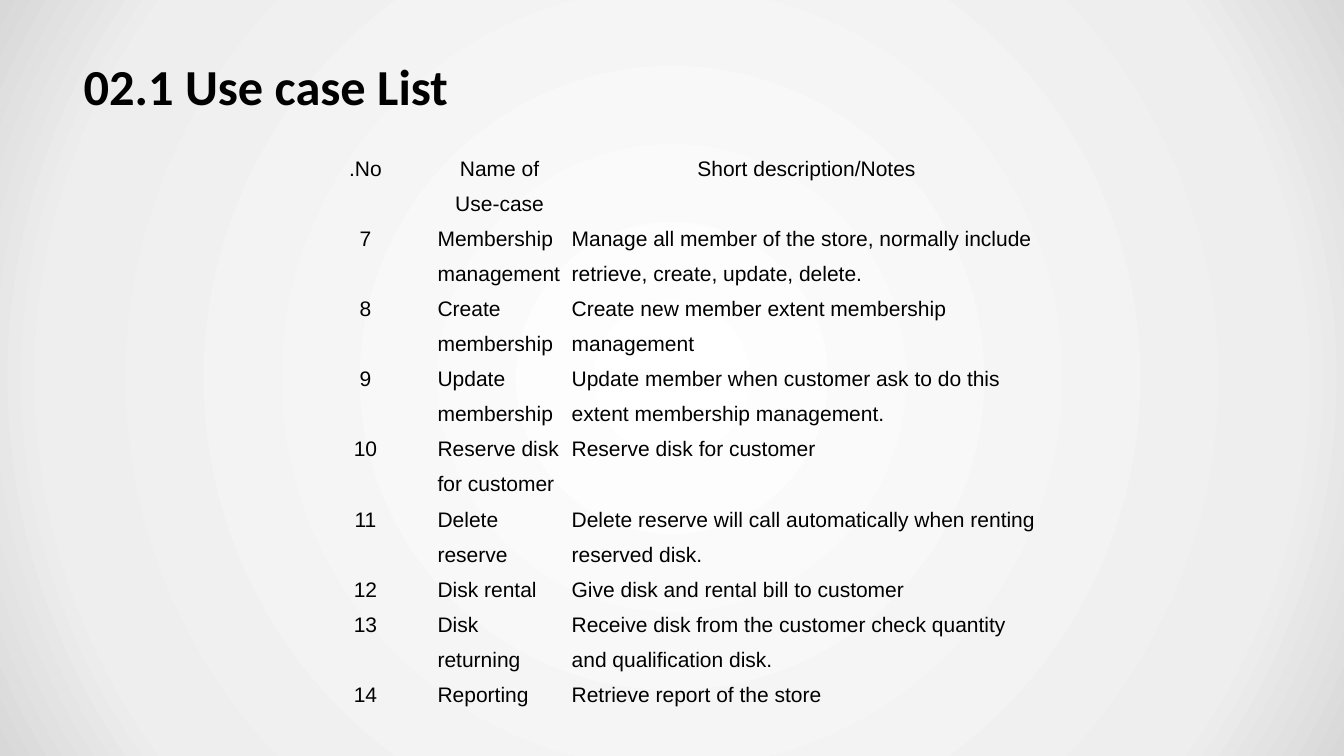
"""Build the use case list slide."""
from pptx import Presentation, util as u
from pptx.dml.color import RGBColor
from pptx.enum import text
from pptx.oxml import parse_xml
from pptx.oxml.ns import nsdecls

COLORS = {"ink": "000000", "center": "FFFFFF", "middle": "EEEEEE", "edge": "D8D8D8"}
GRADIENT_STOPS = [(0, "center"), (81, "middle"), (100, "edge")]
NO_GRID_STYLE = "{2D5ABB26-0587-4C30-8999-92F81FD0307C}"

TITLE_FONT = {"name": "Calibri", "size": u.Pt(36), "bold": True}
TABLE_FONT = {"name": "Arial", "size": u.Pt(15), "bold": False}
TITLE_FRAME = {
    "margin_left": 0, "margin_right": 0,
    "margin_top": u.Inches(0.07), "margin_bottom": u.Inches(0.07),
    "vertical_anchor": text.MSO_ANCHOR.MIDDLE,
    "auto_size": text.MSO_AUTO_SIZE.NONE, "word_wrap": True,
}
CELL_FRAME = {
    "margin_left": u.Inches(0.05), "margin_right": u.Inches(0.05),
    "margin_top": 0, "margin_bottom": 0,
    "vertical_anchor": text.MSO_ANCHOR.TOP,
}

COLUMN_WIDTHS = [1.33, 1.33, 4.76]
ROW_HEIGHTS = [0.42, 0.42, 0.32, 0.32, 0.32, 0.32, 0.15, 0.32, 0.15]
HEADER = (".No", "Name of Use-case", "Short description/Notes")
FIRST_NUMBER = 7
USE_CASES = [
    ("Membership management",
     "Manage all member of the store, normally include retrieve, create, update, delete."),
    ("Create membership", "Create new member extent membership management"),
    ("Update membership",
     "Update member when customer ask to do this extent membership management."),
    ("Reserve disk for customer", "Reserve disk for customer"),
    ("Delete reserve", "Delete reserve will call automatically when renting reserved disk."),
    ("Disk rental", "Give disk and rental bill to customer"),
    ("Disk returning", "Receive disk from the customer check quantity and qualification disk."),
    ("Reporting", "Retrieve report of the store"),
]


def apply(target, values):
    for name, value in values.items():
        setattr(target, name, value)


def write(para, words, font, align):
    para.alignment = align
    span = para.add_run()
    span.text = words
    apply(span.font, font)
    span.font.color.rgb = RGBColor.from_string(COLORS["ink"])


def paint_background(page):
    stops = "".join(
        f'<a:gs pos="{percent * 1000}"><a:srgbClr val="{COLORS[name]}"/></a:gs>'
        for percent, name in GRADIENT_STOPS
    )
    page.element.cSld.insert(0, parse_xml(
        f'<p:bg {nsdecls("p", "a")}><p:bgPr><a:gradFill rotWithShape="1">'
        f'<a:gsLst>{stops}</a:gsLst><a:path path="circle">'
        '<a:fillToRect l="50000" t="50000" r="50000" b="50000"/></a:path>'
        '</a:gradFill><a:effectLst/></p:bgPr></p:bg>'
    ))


def add_title(page, words):
    title = page.shapes.title
    apply(title, {"left": u.Inches(0.83), "top": u.Inches(0.46),
                  "width": u.Inches(12), "height": u.Inches(0.78)})
    apply(title.text_frame, TITLE_FRAME)
    write(title.text_frame.paragraphs[0], words, TITLE_FONT, text.PP_ALIGN.LEFT)


def fill_cell(cell, words, align):
    cell.fill.background()
    apply(cell, CELL_FRAME)
    para = cell.text_frame.paragraphs[0]
    para.line_spacing = 1.5
    write(para, words, TABLE_FONT, align)


def add_use_case_table(page):
    rows = [HEADER] + [
        (str(number), *case) for number, case in enumerate(USE_CASES, FIRST_NUMBER)
    ]
    height = u.Inches(5.59)
    frame = page.shapes.add_table(
        len(rows), len(HEADER), u.Inches(2.96), u.Inches(1.45),
        u.Inches(sum(COLUMN_WIDTHS)), height)
    table = frame.table
    apply(table, {"first_row": False, "horz_banding": False})
    table._tbl.tblPr[0].text = NO_GRID_STYLE
    for column, width in zip(table.columns, COLUMN_WIDTHS):
        column.width = u.Inches(width)
    for row, row_height in zip(table.rows, ROW_HEIGHTS):
        row.height = u.Inches(row_height)
    frame.height = height
    for r, row in enumerate(rows):
        for c, words in enumerate(row):
            centered = r == 0 or c == 0
            align = text.PP_ALIGN.CENTER if centered else text.PP_ALIGN.LEFT
            fill_cell(table.cell(r, c), words, align)


def main():
    deck = Presentation()
    apply(deck, {"slide_width": u.Inches(13.33), "slide_height": u.Inches(7.5)})
    page = deck.slides.add_slide(deck.slide_layouts[5])
    paint_background(page)
    add_title(page, "02.1 Use case List")
    add_use_case_table(page)
    deck.save("out.pptx")


if __name__ == "__main__":
    main()
